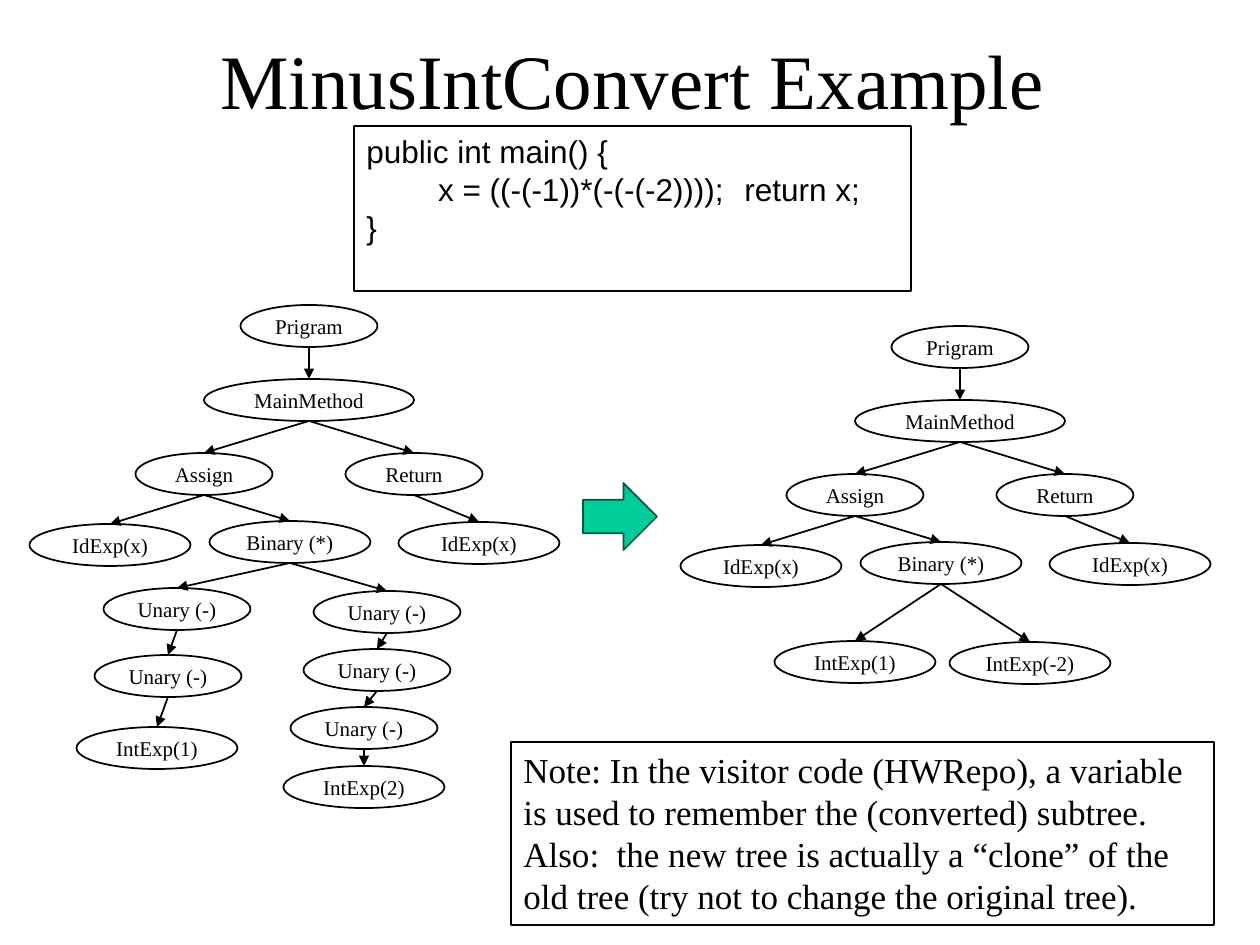
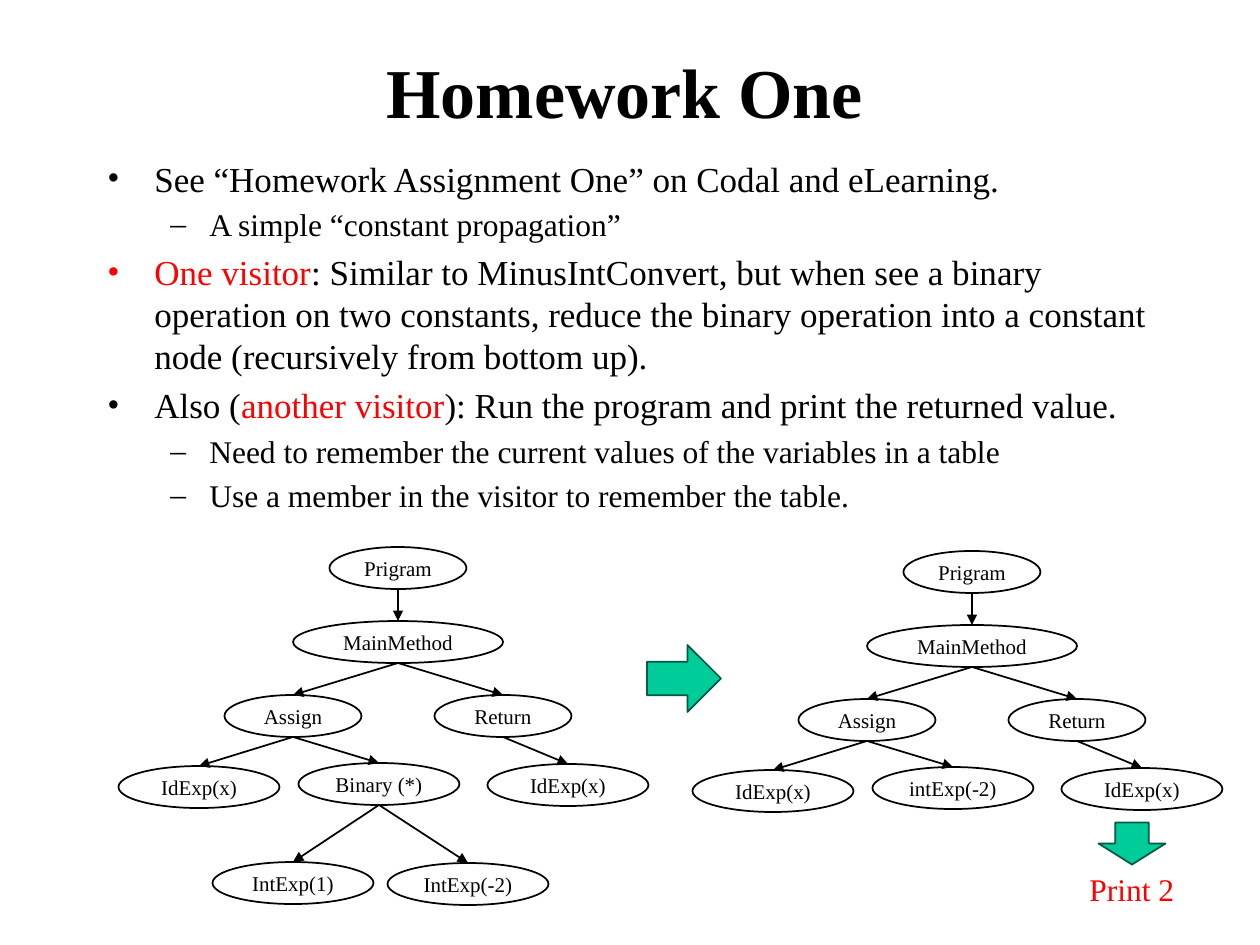
from lxml import etree
from pptx import Presentation
from pptx.dml.color import RGBColor
from pptx.enum.shapes import MSO_CONNECTOR, MSO_SHAPE
from pptx.enum.text import MSO_ANCHOR, PP_ALIGN
from pptx.oxml.ns import qn
from pptx.util import Emu, Pt

BLACK = RGBColor(0x00, 0x00, 0x00)
RED = RGBColor(0xFF, 0x00, 0x00)
GREEN = RGBColor(0x00, 0xCC, 0x99)
DARK_GREEN = RGBColor(0x00, 0x59, 0x43)
SERIF = "Times New Roman"
SANS = "Arial"
ELLIPSE = MSO_SHAPE.OVAL
RIGHT_ARROW = MSO_SHAPE.RIGHT_ARROW
STRAIGHT = MSO_CONNECTOR.STRAIGHT
TOP = MSO_ANCHOR.TOP
MIDDLE = MSO_ANCHOR.MIDDLE
LEFT = PP_ALIGN.LEFT
CENTER = PP_ALIGN.CENTER
PX_PER_INCH = 126


def px(length):
    return Emu(round(length * 914400 / PX_PER_INCH))


def add_run(paragraph, text, size, color=BLACK, font=SERIF, bold=False):
    run = paragraph.add_run()
    run.text = text
    run.font.size = Pt(size)
    run.font.name = font
    run.font.bold = bold
    run.font.color.rgb = color


presentation = Presentation()
presentation.slide_width = px(1260)
presentation.slide_height = px(945)
blank_layout = presentation.slide_layouts[6]
example_slide = presentation.slides.add_slide(blank_layout)
homework_slide = presentation.slides.add_slide(blank_layout)

titles = [
    (example_slide, (97, 30, 1071, 97), "MinusIntConvert Example", 44, False),
    (homework_slide, (89, 48, 1071, 84), "Homework One", 40, True),
]
for slide, bounds, text, size, bold in titles:
    title = slide.shapes.add_textbox(*map(px, bounds))
    title.text_frame.word_wrap = True
    title.text_frame.vertical_anchor = MIDDLE
    paragraph = title.text_frame.paragraphs[0]
    paragraph.alignment = CENTER
    add_run(paragraph, text, size, bold=bold)

code_lines = [
    "public int main() {",
    "\t x = ((-(-1))*(-(-(-2)))); \treturn x;",
    "}",
]
note_lines = [
    "Note: In the visitor code (HWRepo), a variable is used to remember the "
    "(converted) subtree. Also:  the new tree is actually a “clone” of the "
    "old tree (try not to change the original tree)."
]
text_boxes = [
    (example_slide, (354, 126, 557, 165), code_lines, 18, BLACK, SANS, True),
    (example_slide, (511, 742, 703, 183), note_lines, 20, BLACK, SERIF, True),
    (homework_slide, (1077, 864, 122, 50), ["Print 2"], 18, RED, SERIF, False),
]
for slide, bounds, lines, size, color, font, bordered in text_boxes:
    box = slide.shapes.add_textbox(*map(px, bounds))
    box.text_frame.word_wrap = True
    box.text_frame.vertical_anchor = TOP
    if bordered:
        box.line.color.rgb = BLACK
        box.line.width = Pt(0.75)
    for index, line in enumerate(lines):
        paragraph = box.text_frame.paragraphs[0] if index == 0 else box.text_frame.add_paragraph()
        paragraph.alignment = LEFT
        add_run(paragraph, line, size, color, font)

bullet_levels = [("•", 20, 47, -47), ("–", 18, 102, -39)]
assignment = [
    (0, [("See “Homework Assignment One” on Codal and eLearning.", BLACK)]),
    (1, [("A simple “constant propagation”", BLACK)]),
    (0, [
        ("One visitor", RED),
        (": Similar to MinusIntConvert, but when see a binary operation on two "
         "constants, reduce the binary operation into a constant node "
         "(recursively from bottom up).", BLACK),
    ]),
    (0, [
        ("Also (", BLACK),
        ("another visitor", RED),
        ("): Run the program and print the returned value.", BLACK),
    ]),
    (1, [("Need to remember the current values of the variables in a table", BLACK)]),
    (1, [("Use a member in the visitor to remember the table.", BLACK)]),
]
body = homework_slide.shapes.add_textbox(px(95), px(151), px(1071), px(393))
body.text_frame.word_wrap = True
for index, (level, runs) in enumerate(assignment):
    bullet, size, margin, indent = bullet_levels[level]
    paragraph = body.text_frame.paragraphs[0] if index == 0 else body.text_frame.add_paragraph()
    paragraph.level = level
    paragraph.space_before = Pt(size * 0.2)
    properties = paragraph._p.get_or_add_pPr()
    properties.set("marL", str(px(margin)))
    properties.set("indent", str(px(indent)))
    etree.SubElement(properties, qn("a:buFont"), typeface=SERIF)
    etree.SubElement(properties, qn("a:buChar"), char=bullet)
    for text, color in runs:
        add_run(paragraph, text, size, color)

NODE_HEIGHT = 42
NODE_WIDTH = 161
node_widths = {"Prigram": 137, "MainMethod": 210, "Assign": 137, "Return": 137, "Unary (-)": 147}

# node: label, index of its parent, centre and top measured from the root
statements = [
    ("Prigram", None, 0, 0),
    ("MainMethod", 0, 0, 74),
    ("Assign", 1, -105, 148),
    ("Return", 1, 105, 148),
    ("IdExp(x)", 2, -199, 219),
    ("IdExp(x)", 3, 170, 217),
]
product = statements + [("Binary (*)", 2, -19, 216)]
source_tree = product + [
    ("Unary (-)", 6, -132, 283),
    ("Unary (-)", 7, -141, 350),
    ("IntExp(1)", 8, -152, 422),
    ("Unary (-)", 6, 78, 286),
    ("Unary (-)", 10, 68, 344),
    ("Unary (-)", 11, 55, 402),
    ("IntExp(2)", 12, 55, 461),
]
converted_tree = product + [("IntExp(1)", 6, -105, 315), ("IntExp(-2)", 6, 70, 316)]
folded_tree = statements + [("intExp(-2)", 2, -19, 216)]

trees = [
    (example_slide, 309, 305, source_tree),
    (example_slide, 960, 326, converted_tree),
    (homework_slide, 398, 547, converted_tree),
    (homework_slide, 972, 551, folded_tree),
]
for slide, root_x, root_y, nodes in trees:
    for label, parent, offset_x, offset_y in nodes:
        center_x, top = root_x + offset_x, root_y + offset_y
        width = node_widths.get(label, NODE_WIDTH)
        node = slide.shapes.add_shape(
            ELLIPSE, px(center_x - width / 2), px(top), px(width), px(NODE_HEIGHT))
        node.shadow.inherit = False
        node.fill.background()
        node.line.color.rgb = BLACK
        node.line.width = Pt(1)
        frame = node.text_frame
        frame.word_wrap = False
        frame.vertical_anchor = MIDDLE
        frame.margin_top = frame.margin_bottom = 0
        frame.paragraphs[0].alignment = CENTER
        add_run(frame.paragraphs[0], label, 12)
        if parent is None:
            continue
        parent_x, parent_y = nodes[parent][2:]
        edge = slide.shapes.add_connector(
            STRAIGHT, px(root_x + parent_x), px(root_y + parent_y + NODE_HEIGHT),
            px(center_x), px(top))
        edge.line.color.rgb = BLACK
        edge.line.width = Pt(1)
        etree.SubElement(edge.line._get_or_add_ln(), qn("a:tailEnd"), type="triangle")
        etree.SubElement(edge._element.spPr, qn("a:effectLst"))

step_arrows = [
    (example_slide, (583, 483, 74, 67), 0),
    (homework_slide, (647, 645, 74, 67), 0),
    (homework_slide, (1111, 810, 42, 67), 90),
]
for slide, bounds, rotation in step_arrows:
    arrow = slide.shapes.add_shape(RIGHT_ARROW, *map(px, bounds))
    arrow.rotation = rotation
    arrow.shadow.inherit = False
    arrow.fill.solid()
    arrow.fill.fore_color.rgb = GREEN
    arrow.line.color.rgb = DARK_GREEN
    arrow.line.width = Pt(1)

presentation.save("out.pptx")
